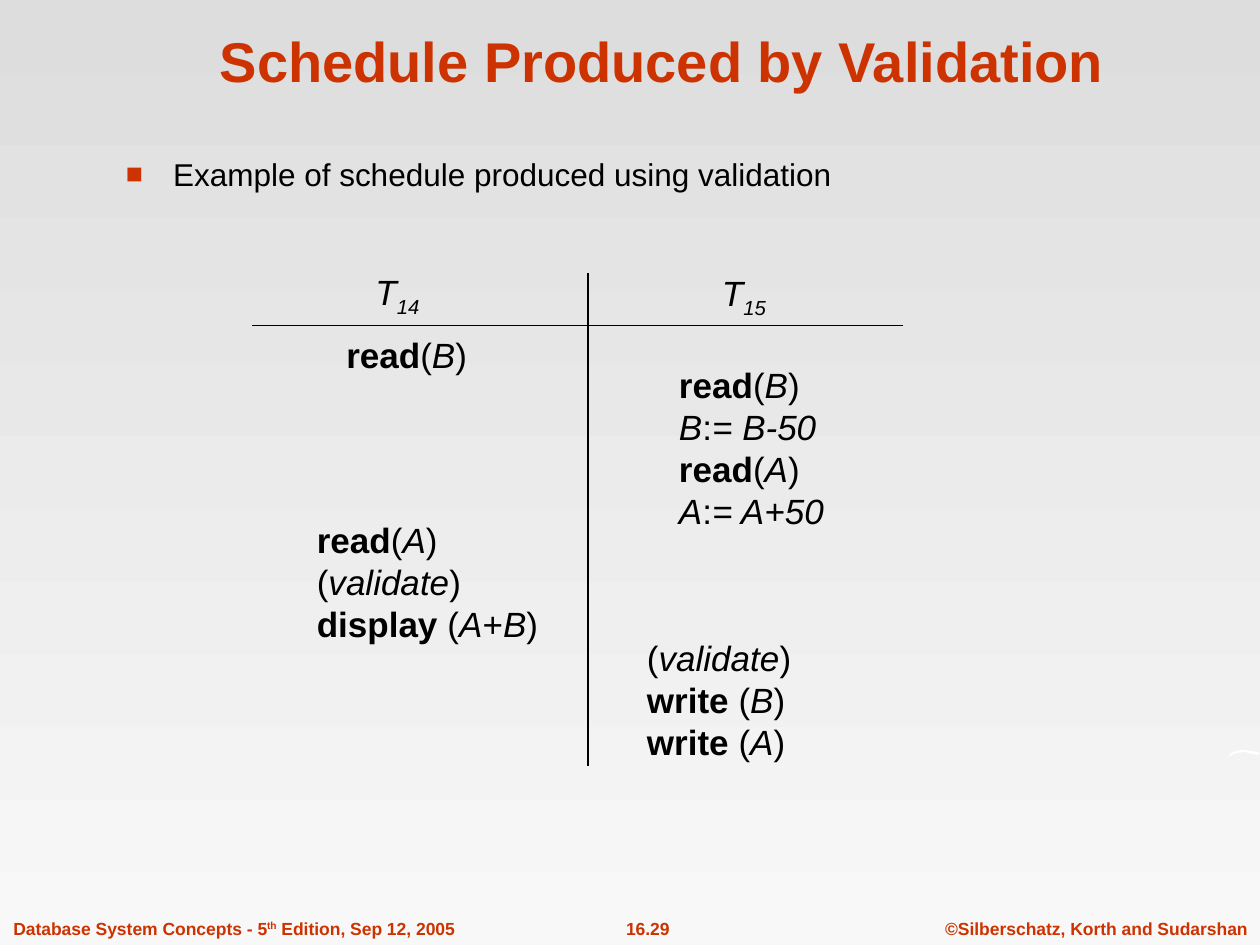
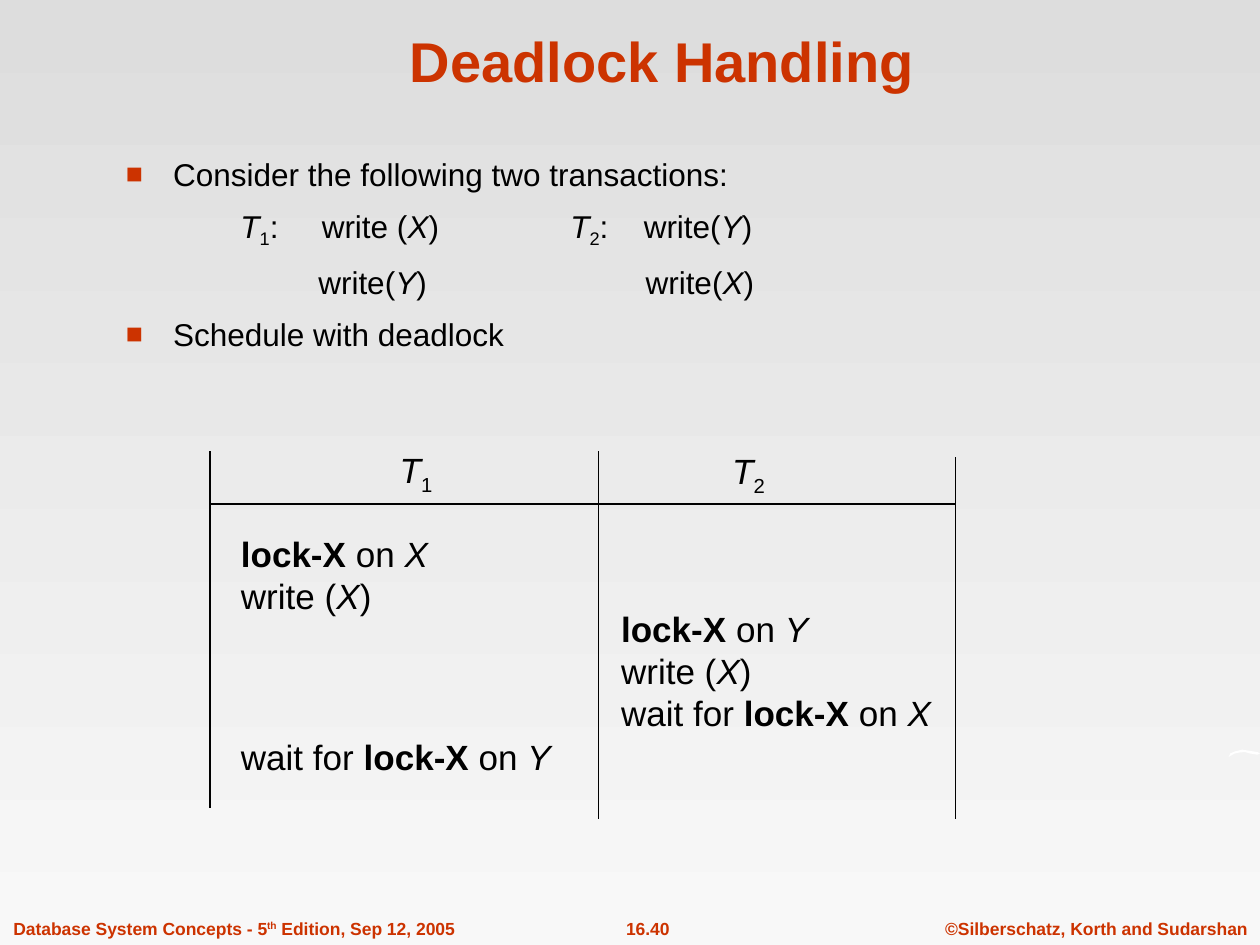
from lxml.etree import SubElement
from pptx import Presentation
from pptx.dml.color import RGBColor
from pptx.enum.shapes import MSO_CONNECTOR
from pptx.enum.text import MSO_ANCHOR, MSO_AUTO_SIZE, PP_ALIGN
from pptx.oxml.ns import qn
from pptx.util import Pt

ACCENT = RGBColor(0xCC, 0x33, 0x00)
INK = RGBColor(0x00, 0x00, 0x00)
WHITE = RGBColor(0xFF, 0xFF, 0xFF)
BACKGROUND_TOP = RGBColor(0xDD, 0xDD, 0xDD)
BACKGROUND_BOTTOM = RGBColor(0xF8, 0xF8, 0xF8)

FONT = "Arial"
TITLE_SIZE, BODY_SIZE, SCHEDULE_SIZE, FOOTER_SIZE = 32, 18, 20, 10
SCHEDULE_LINE = 24
FOOTER_TOP, FOOTER_HEIGHT = 520.8, 19.2
BULLET_INDENT = 27
TITLE_ONLY = 5

SWOOSH = [(702, 432.7), (703, 430.6), (705.6, 429.4), (709.9, 428.4),
          (714.2, 429.1), (718.6, 429.8), (720, 430.6), (718.6, 431.3),
          (714.2, 430.6), (711.4, 429.8), (708.5, 430), (705.6, 430.6),
          (703, 432)]

MARKS = {"*": "bold", "_": "italic", "~": "subscript", "^": "superscript"}
BASELINES = {"subscript": "-25000", "superscript": "30000"}


def set_font(run, size, color, bold=False, italic=False):
    font = run.font
    font.name, font.size, font.bold, font.italic = FONT, Pt(size), bold, italic
    font.color.rgb = color


def split_marks(text):
    """Yield (piece, styles) from text with *bold*, _italic_, ~sub~ and ^super^."""
    piece, styles = "", set()
    for letter in text:
        if letter in MARKS:
            if piece:
                yield piece, set(styles)
            piece = ""
            styles ^= {MARKS[letter]}
        else:
            piece += letter
    if piece:
        yield piece, styles


def write_marked(paragraph, text, size, color=INK, bold=False):
    for piece, styles in split_marks(text):
        run = paragraph.add_run()
        run.text = piece
        set_font(run, size, color, bold or "bold" in styles, "italic" in styles)
        for style in styles & BASELINES.keys():
            run.font._element.set("baseline", BASELINES[style])


def add_lines(slide, left, top, width, height, lines, size, color=INK,
              bold=False, align=PP_ALIGN.LEFT):
    """Add a fixed box with one paragraph for each marked line."""
    box = slide.shapes.add_textbox(Pt(left), Pt(top), Pt(width), Pt(height))
    frame = box.text_frame
    frame.word_wrap = True
    frame.auto_size = MSO_AUTO_SIZE.NONE
    for index, line in enumerate(lines):
        paragraph = frame.add_paragraph() if index else frame.paragraphs[0]
        paragraph.alignment = align
        write_marked(paragraph, line, size, color, bold)


def add_steps(slide, left, top, width, *steps):
    height = SCHEDULE_LINE * len(steps) + 7.5
    add_lines(slide, left, top, width, height, steps, SCHEDULE_SIZE)


def add_heading(slide, left, top, name):
    add_lines(slide, left, top, 48, 34.6, [name], SCHEDULE_SIZE)


def add_rule(slide, x1, y1, x2, y2):
    rule = slide.shapes.add_connector(
        MSO_CONNECTOR.STRAIGHT, Pt(x1), Pt(y1), Pt(x2), Pt(y2))
    rule.line.color.rgb = INK
    rule.line.width = Pt(0.75)
    SubElement(rule._element.spPr, qn("a:effectLst"))


def add_bullet(paragraph):
    properties = paragraph._p.get_or_add_pPr()
    properties.set("marL", str(Pt(BULLET_INDENT)))
    properties.set("indent", str(-Pt(BULLET_INDENT)))
    color = SubElement(properties, qn("a:buClr"))
    SubElement(color, qn("a:srgbClr"), val=str(ACCENT))
    SubElement(properties, qn("a:buSzPct"), val="90000")
    SubElement(properties, qn("a:buFont"), typeface=FONT)
    SubElement(properties, qn("a:buChar"), char="■")


def add_tab_stops(paragraph, stops):
    tabs = SubElement(paragraph._p.get_or_add_pPr(), qn("a:tabLst"))
    for stop in stops:
        SubElement(tabs, qn("a:tab"), pos=str(Pt(stop)), algn="l")


def add_body(slide, height, entries):
    """Add (text, tab stops) entries; an entry without stops gets a bullet."""
    box = slide.shapes.add_textbox(Pt(64.8), Pt(85), Pt(610), Pt(height))
    frame = box.text_frame
    frame.word_wrap = True
    for index, (text, stops) in enumerate(entries):
        paragraph = frame.add_paragraph() if index else frame.paragraphs[0]
        if index:
            paragraph.space_before = Pt(7.9)
        if stops:
            add_tab_stops(paragraph, stops)
        else:
            add_bullet(paragraph)
        write_marked(paragraph, text, BODY_SIZE)


def add_swoosh(slide):
    outline = [(Pt(x), Pt(y)) for x, y in SWOOSH]
    builder = slide.shapes.build_freeform(*outline[0])
    builder.add_line_segments(outline[1:], close=True)
    swoosh = builder.convert_to_shape()
    swoosh.shadow.inherit = False
    swoosh.fill.solid()
    swoosh.fill.fore_color.rgb = WHITE
    swoosh.line.fill.background()


def add_footer(slide, number):
    for left, width, text, align in (
            (0.5, 290, "Database System Concepts - 5^th^ Edition, Sep 12, 2005",
             PP_ALIGN.LEFT),
            (332, 76.4, number, PP_ALIGN.CENTER),
            (510, 210, "©Silberschatz, Korth and Sudarshan", PP_ALIGN.RIGHT)):
        add_lines(slide, left, FOOTER_TOP, width, FOOTER_HEIGHT, [text],
                  FOOTER_SIZE, ACCENT, True, align)


def add_title(slide, text):
    title = slide.shapes.title
    title.left, title.top, title.width, title.height = (
        Pt(60.5), Pt(9), Pt(635.8), Pt(48))
    frame = title.text_frame
    frame.text = text
    frame.auto_size = MSO_AUTO_SIZE.NONE
    frame.vertical_anchor = MSO_ANCHOR.BOTTOM
    paragraph = frame.paragraphs[0]
    paragraph.alignment = PP_ALIGN.CENTER
    set_font(paragraph.runs[0], TITLE_SIZE, ACCENT, bold=True)


def new_slide(presentation, title, number):
    slide = presentation.slides.add_slide(presentation.slide_layouts[TITLE_ONLY])
    add_footer(slide, number)
    add_swoosh(slide)
    add_title(slide, title)
    return slide


def set_background(master):
    fill = master.background.fill
    fill.gradient()
    fill.gradient_angle = 270
    colors = (BACKGROUND_TOP, BACKGROUND_BOTTOM)
    for position, (stop, color) in enumerate(zip(fill.gradient_stops, colors)):
        stop.position = position
        stop.color.rgb = color


def build_validation(presentation):
    slide = new_slide(presentation, "Schedule Produced by Validation", "16.29")
    add_body(slide, 384, [("Example of schedule produced using validation", ())])
    add_rule(slide, 144, 186, 516, 186)
    add_rule(slide, 336, 156, 336, 438)
    add_heading(slide, 207.4, 151.2, "_T~14~_")
    add_heading(slide, 405.4, 151.5, "_T~15~_")
    add_steps(slide, 190.8, 187.2, 100, "*read*(_B_)")
    add_steps(slide, 380.9, 204.2, 110,
              "*read*(_B_)", "_B_:_= B-50_", "*read*(_A_)", "_A_:_= A+50_")
    add_steps(slide, 174, 292.7, 155,
              "*read*(_A_)", "(_validate_)", "*display* (_A_+_B_)")
    add_steps(slide, 362.6, 360, 120,
              "(_validate_)", "*write* (_B_)", "*write* (_A_)")


def build_deadlock(presentation):
    slide = new_slide(presentation, "Deadlock Handling", "16.40")
    add_body(slide, 386, [
        ("Consider the following two transactions:", ()),
        ("\t_T_~1~:\twrite (_X_)\t_T_~2~:\twrite(_Y_)", (65.5, 112, 254, 296)),
        ("\twrite(_Y_)\twrite(_X_)", (110, 297)),
        ("Schedule with deadlock", ()),
    ])
    add_rule(slide, 120, 288, 546, 288)
    for x, top, bottom in ((120, 258, 462), (342, 258, 468), (546, 261.4, 468)):
        add_rule(slide, x, top, x, bottom)
    add_heading(slide, 221.3, 253, "_T_~1~")
    add_heading(slide, 411.3, 253.4, "_T_~2~")
    add_steps(slide, 130.6, 301, 140, "*lock-X* on _X_", "write (_X_)")
    add_steps(slide, 347.8, 343.4, 198,
              "*lock-X* on _Y_", "write (_X_)", "wait for *lock-X* on _X_")
    add_steps(slide, 130.6, 416.9, 198, "wait for *lock-X* on _Y_")


def main():
    presentation = Presentation()
    presentation.slide_width, presentation.slide_height = Pt(720), Pt(540)
    set_background(presentation.slide_master)
    build_validation(presentation)
    build_deadlock(presentation)
    presentation.save("out.pptx")


if __name__ == "__main__":
    main()
